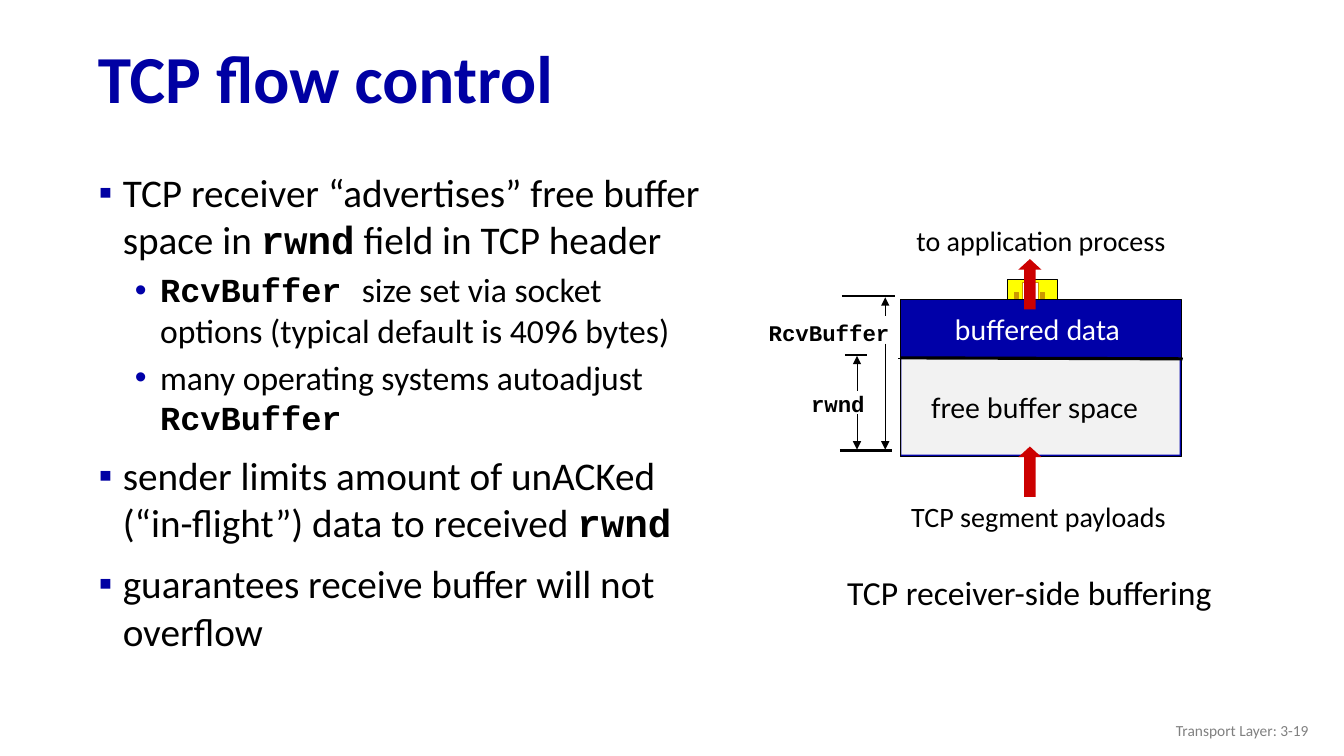
from lxml.etree import SubElement
from pptx import Presentation
from pptx.dml.color import RGBColor
from pptx.enum.shapes import MSO_CONNECTOR, MSO_SHAPE
from pptx.enum.text import MSO_ANCHOR, MSO_AUTO_SIZE, PP_ALIGN
from pptx.oxml.ns import qn
from pptx.util import Emu, Pt

EMU_PER_PX = 9144
NAVY, BLUE, RED, GOLD, BLACK = "0000A3", "0000A8", "CC0000", "CC9900", "000000"
CODE = {"name": "Courier New", "bold": True}
PLAIN = {}
LEVELS = [
    {"size": 28, "margin": 39, "indent": -24, "before": 10, "bullet": "▪", "color": NAVY},
    {"size": 24, "margin": 76, "indent": -25, "before": 5, "bullet": "•", "color": BLUE},
]
BULLETS = [
    (0, [("TCP receiver “advertises” free buffer space in ", PLAIN), ("rwnd", CODE),
         (" field in TCP header", PLAIN)]),
    (1, [("RcvBuffer ", CODE),
         ("size set via socket options (typical default is 4096 bytes)", PLAIN)]),
    (1, [("many operating systems autoadjust ", PLAIN), ("RcvBuffer", CODE)]),
    (0, [("sender limits amount of unACKed (“in-flight”) data to received ", PLAIN),
         ("rwnd", CODE)]),
    (0, [("guarantees receive buffer will not overflow", PLAIN)]),
]


def px(value):
    return Emu(value * EMU_PER_PX)


def rgb(value):
    return RGBColor.from_string(value)


def apply(target, values):
    for name, value in values.items():
        setattr(target, name, value)


class SlideBuilder:
    font_name = "Calibri"

    def __init__(self, presentation):
        self.slide = presentation.slides.add_slide(presentation.slide_layouts[5])
        self.shapes = self.slide.shapes

    def add_text(self, paragraph, text, size, color=BLACK, name=None, bold=False):
        run = paragraph.add_run()
        run.text = text
        apply(run.font, {"size": Pt(size), "name": name or self.font_name, "bold": bold})
        run.font.color.rgb = rgb(color)

    def title(self, text, left, top, width, height):
        shape = self.shapes.title
        apply(shape, {"left": px(left), "top": px(top),
                      "width": px(width), "height": px(height)})
        apply(shape.text_frame, {"vertical_anchor": MSO_ANCHOR.MIDDLE, "word_wrap": True,
                                 "auto_size": MSO_AUTO_SIZE.NONE})
        paragraph = shape.text_frame.paragraphs[0]
        apply(paragraph, {"alignment": PP_ALIGN.LEFT, "line_spacing": 0.9})
        self.add_text(paragraph, text, 48, NAVY, bold=True)

    def bullets(self, items, left, top, width, height):
        frame = self.shapes.add_textbox(px(left), px(top), px(width), px(height)).text_frame
        frame.word_wrap = True
        for index, (level, runs) in enumerate(items):
            style = LEVELS[level]
            paragraph = frame.add_paragraph() if index else frame.paragraphs[0]
            apply(paragraph, {"level": level,
                              "space_before": Pt(style["before"] if index else 0)})
            properties = paragraph._p.get_or_add_pPr()
            properties.set("marL", str(px(style["margin"])))
            properties.set("indent", str(px(style["indent"])))
            bullet_color = SubElement(properties, qn("a:buClr"))
            SubElement(bullet_color, qn("a:srgbClr"), val=style["color"])
            SubElement(properties, qn("a:buFont"), typeface="Arial")
            SubElement(properties, qn("a:buChar"), char=style["bullet"])
            for text, font in runs:
                self.add_text(paragraph, text, style["size"], **font)

    def label(self, text, left, top, width, height, size,
              alignment=PP_ALIGN.CENTER, wrap=False, **font):
        frame = self.shapes.add_textbox(px(left), px(top), px(width), px(height)).text_frame
        apply(frame, {
            "word_wrap": wrap,
            "auto_size": MSO_AUTO_SIZE.NONE if wrap else MSO_AUTO_SIZE.SHAPE_TO_FIT_TEXT,
            "vertical_anchor": MSO_ANCHOR.MIDDLE if wrap else MSO_ANCHOR.TOP,
        })
        paragraph = frame.paragraphs[0]
        paragraph.alignment = alignment
        self.add_text(paragraph, text, size, **font)

    def block(self, left, top, width, height, fill, line=None, preset=MSO_SHAPE.RECTANGLE):
        shape = self.shapes.add_shape(preset, px(left), px(top), px(width), px(height))
        shape.shadow.inherit = False
        shape.fill.solid()
        shape.fill.fore_color.rgb = rgb(fill)
        if line:
            shape.line.color.rgb = rgb(line)
            shape.line.width = Pt(0.75)
        else:
            shape.line.fill.background()
        return shape

    def up_arrow(self, left, top):
        shape = self.block(left, top, 23, 50, RED, preset=MSO_SHAPE.UP_ARROW)
        shape.adjustments[1] = 0.46

    def line(self, start_x, start_y, end_x, end_y, width=0.75, arrow=None):
        connector = self.shapes.add_connector(
            MSO_CONNECTOR.STRAIGHT, px(start_x), px(start_y), px(end_x), px(end_y))
        connector.line.color.rgb = rgb(BLACK)
        connector.line.width = Pt(width)
        properties = connector._element.spPr
        if arrow:
            SubElement(properties.find(qn("a:ln")), qn(f"a:{arrow}End"), type="triangle")
        SubElement(properties, qn("a:effectLst"))


def main():
    presentation = Presentation()
    apply(presentation, {"slide_width": px(1333), "slide_height": px(750)})
    builder = SlideBuilder(presentation)

    builder.title("TCP flow control", 87, 32, 1246, 98)
    builder.bullets(BULLETS, 73, 162, 637, 537)

    builder.block(999, 277, 50, 23, "FFFF00", BLACK)
    builder.block(1014, 280, 16, 17, "FFFFFF", GOLD)
    for left in (1032, 1006):
        builder.block(left, 290, 4, 6, GOLD, GOLD)

    builder.block(893, 297, 279, 156, BLUE, BLACK)
    builder.line(891, 356, 1173, 356)
    builder.up_arrow(1010, 257)
    builder.block(894, 355, 276, 96, "F2F2F2")
    builder.up_arrow(1010, 443)
    builder.line(893, 355, 1173, 356, 2.25)
    builder.label("buffered data", 936, 305, 186, 43, 20, name="Lato", color="FFFFFF")
    builder.label("free buffer space", 912, 383, 228, 43, 20, name="Lato")

    builder.label("rwnd", 794, 382, 74, 37, 16, **CODE)
    builder.label("RcvBuffer", 752, 312, 140, 37, 16, PP_ALIGN.RIGHT, **CODE)
    for left, right, level in ((833, 885, 447), (838, 860, 352), (835, 888, 294)):
        builder.line(left, level, right, level, 1.5)
    for center, start, end, arrow in ((850, 353, 388, "head"), (850, 446, 411, "head"),
                                      (878, 295, 314, "head"), (878, 341, 446, "tail")):
        builder.line(center, start, center, end, arrow=arrow)

    builder.label("TCP segment payloads", 892, 491, 276, 44, 20)
    builder.label("to application process", 897, 217, 271, 44, 20)
    builder.label("TCP receiver-side buffering", 826, 562, 390, 50, 24)
    builder.label("Transport Layer: 3-19", 1008, 705, 300, 40, 11, PP_ALIGN.RIGHT,
                  wrap=True, color="808080")

    presentation.save("out.pptx")


if __name__ == "__main__":
    main()
